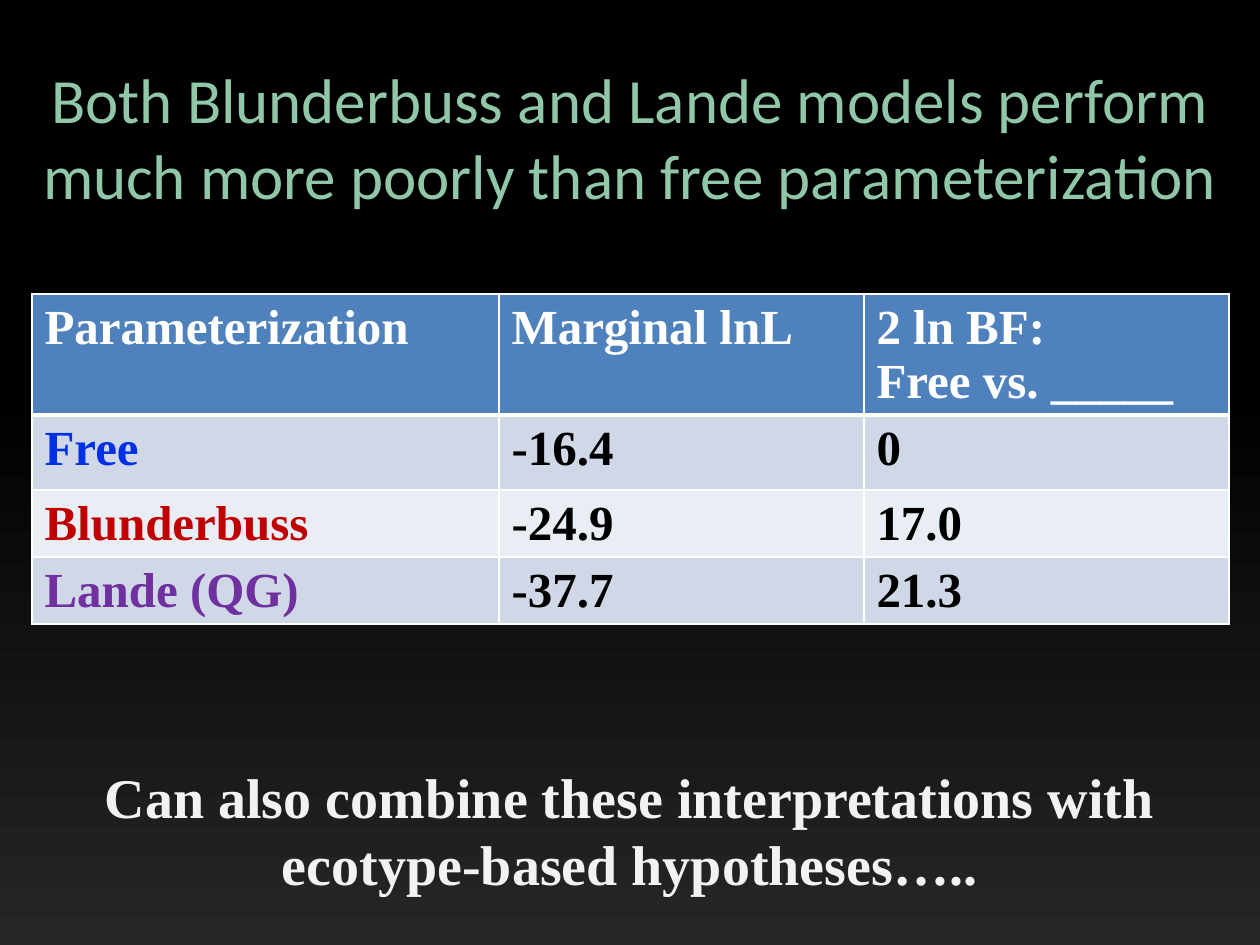
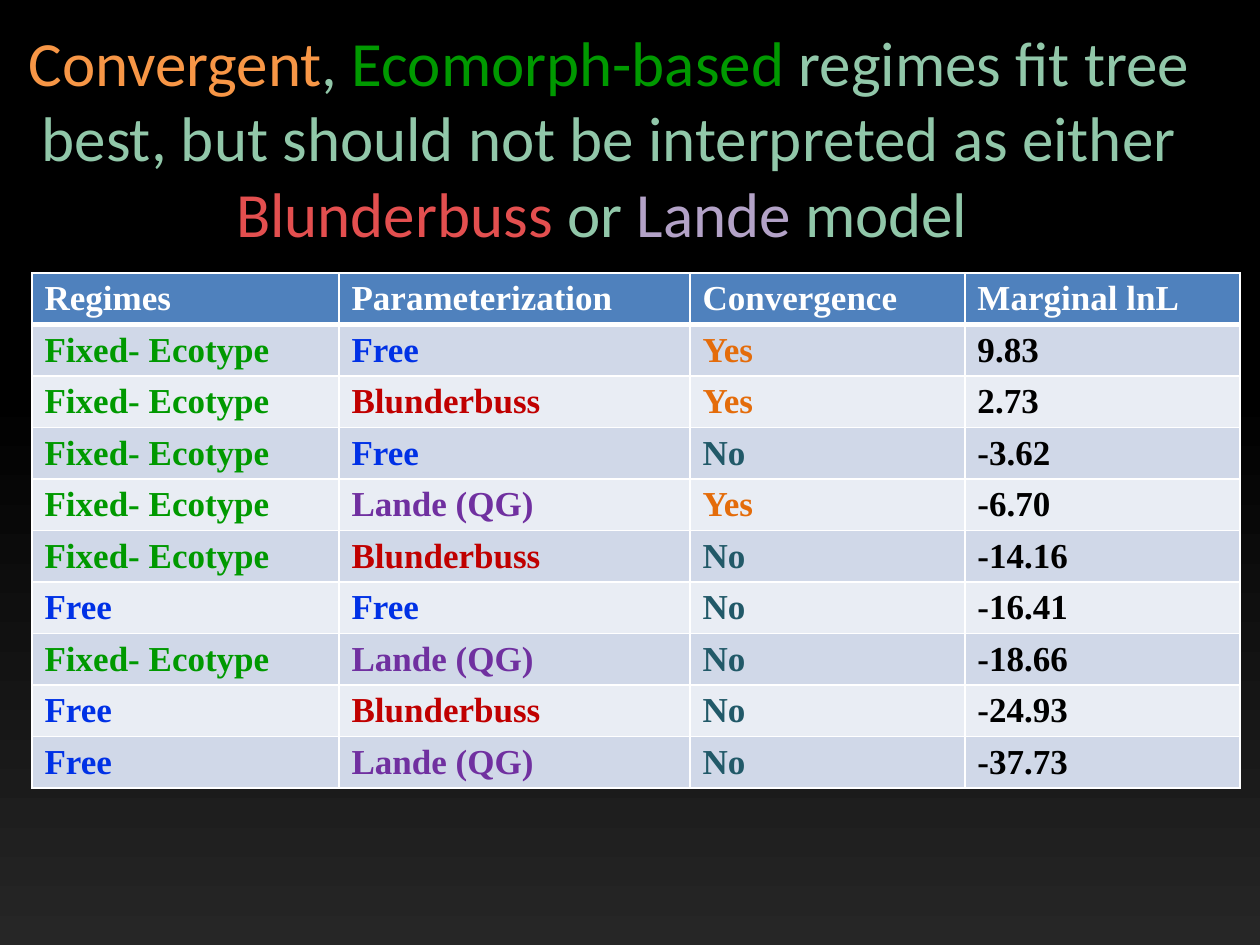
from dataclasses import dataclass

from lxml import etree
from pptx import Presentation
from pptx import util as u
from pptx.dml.color import RGBColor
from pptx.enum import text
from pptx.oxml import ns

EMU_PER_PX = 914400 / 126
TITLE_ONLY = 5


@dataclass(frozen=True)
class Theme:
    title_font: str = "Calibri"
    body_font: str = "Times New Roman"
    title_size: int = 36
    note_size: int = 32
    large_cell_size: int = 28
    small_cell_size: int = 20
    black: str = "000000"
    charcoal: str = "262626"
    white: str = "FFFFFF"
    off_white: str = "F2F2F2"
    mint: str = "91C7A9"
    green: str = "009900"
    blue: str = "0031E6"
    red: str = "C00000"
    light_red: str = "E34F4F"
    purple: str = "7030A0"
    lilac: str = "B3A2C7"
    orange: str = "E46C0A"
    light_orange: str = "F79646"
    teal: str = "215968"
    header_fill: str = "4F81BD"
    band_fills: tuple = ("D0D8E8", "E9EDF4")


THEME = Theme()
CATEGORY_COLOURS = {
    "Free": THEME.blue,
    "Blunderbuss": THEME.red,
    "Lande (QG)": THEME.purple,
    "Fixed- Ecotype": THEME.green,
    "Yes": THEME.orange,
    "No": THEME.teal,
}


def px(length):
    return u.Emu(round(length * EMU_PER_PX))


def colour(code):
    return RGBColor.from_string(code)


def format_font(font, name, size, code, bold=False):
    font.name, font.size, font.bold = name, u.Pt(size), bold
    font.color.rgb = colour(code)


def set_background(master):
    fill = master.background.fill
    fill.gradient()
    fill.gradient_angle = 270
    stops = zip(fill.gradient_stops, (0.41, 1), (THEME.black, THEME.charcoal))
    for stop, position, code in stops:
        stop.position = position
        stop.color.rgb = colour(code)


def centre_text(text_frame):
    text_frame.word_wrap = True
    text_frame.auto_size = text.MSO_AUTO_SIZE.NONE
    text_frame.vertical_anchor = text.MSO_ANCHOR.MIDDLE
    text_frame.paragraphs[0].alignment = text.PP_ALIGN.CENTER


def add_titled_slide(presentation, left, parts):
    """Add a slide whose title is made of (wording, colour) parts."""
    slide = presentation.slides.add_slide(presentation.slide_layouts[TITLE_ONLY])
    title = slide.shapes.title
    title.left, title.top, title.width, title.height = map(px, (left, 84, 1218, 105))
    centre_text(title.text_frame)
    for wording, code in parts:
        run = title.text_frame.paragraphs[0].add_run()
        run.text = wording
        format_font(run.font, THEME.title_font, THEME.title_size, code)
    return slide


def add_note(slide, wording):
    box = slide.shapes.add_textbox(*map(px, (21, 777, 1218, 105)))
    box.text_frame.text = wording
    centre_text(box.text_frame)
    run = box.text_frame.paragraphs[0].runs[0]
    format_font(run.font, THEME.body_font, THEME.note_size, THEME.off_white, True)


def set_borders(cell, bottom_width):
    properties = cell._tc.get_or_add_tcPr()
    for side, width in (("L", 1), ("R", 1), ("T", 1), ("B", bottom_width)):
        line = etree.SubElement(properties, ns.qn(f"a:ln{side}"), w=str(u.Pt(width)))
        fill = etree.SubElement(line, ns.qn("a:solidFill"))
        etree.SubElement(fill, ns.qn("a:srgbClr"), val=THEME.white)


def format_cell(cell, wording, row_index, size):
    is_header = row_index == 0
    set_borders(cell, 3 if is_header else 1)
    cell.fill.solid()
    band = THEME.band_fills[(row_index - 1) % 2]
    cell.fill.fore_color.rgb = colour(THEME.header_fill if is_header else band)
    code = THEME.white if is_header else CATEGORY_COLOURS.get(wording, THEME.black)
    cell.text_frame.text = wording
    for paragraph in cell.text_frame.paragraphs:
        for run in paragraph.runs:
            format_font(run.font, THEME.body_font, size, code, True)


def add_results_table(slide, top, height, column_widths, rows, size, row_heights=()):
    """Add a banded table; rows share the height equally unless heights are given."""
    frame = slide.shapes.add_table(
        len(rows), len(column_widths),
        px(32), px(top), px(sum(column_widths)), px(height))
    table = frame.table
    for column, width in zip(table.columns, column_widths):
        column.width = px(width)
    for row, row_height in zip(table.rows, row_heights):
        row.height = px(row_height)
    for row_index, values in enumerate(rows):
        for column_index, wording in enumerate(values):
            format_cell(table.cell(row_index, column_index), wording, row_index, size)


def add_model_slide(presentation):
    slide = add_titled_slide(presentation, 21, [
        ("Both Blunderbuss and Lande models perform much more poorly "
         "than free parameterization", THEME.mint)])
    rows = [
        ("Parameterization", "Marginal lnL", "2 ln BF:\nFree vs. _____"),
        ("Free", "-16.4", "0"),
        ("Blunderbuss", "-24.9", "17.0"),
        ("Lande (QG)", "-37.7", "21.3"),
    ]
    add_results_table(slide, 294, 330, (467, 365, 365), rows,
                      THEME.large_cell_size, (121, 75, 67, 67))
    add_note(slide, "Can also combine these interpretations with "
                    "ecotype-based hypotheses…..")


def add_regime_slide(presentation):
    slide = add_titled_slide(presentation, 0, [
        ("Convergent", THEME.light_orange),
        (", ", THEME.mint),
        ("Ecomorph-based ", THEME.green),
        ("regimes fit tree best, but should not be interpreted as either ", THEME.mint),
        ("Blunderbuss ", THEME.light_red),
        ("or ", THEME.mint),
        ("Lande ", THEME.lilac),
        ("model ", THEME.mint),
    ])
    rows = [
        ("Regimes", "Parameterization", "Convergence", "Marginal lnL"),
        ("Fixed- Ecotype", "Free", "Yes", "9.83"),
        ("Fixed- Ecotype", "Blunderbuss", "Yes", "2.73"),
        ("Fixed- Ecotype", "Free", "No", "-3.62"),
        ("Fixed- Ecotype", "Lande (QG)", "Yes", "-6.70"),
        ("Fixed- Ecotype", "Blunderbuss", "No", "-14.16"),
        ("Free", "Free", "No", "-16.41"),
        ("Fixed- Ecotype", "Lande (QG)", "No", "-18.66"),
        ("Free", "Blunderbuss", "No", "-24.93"),
        ("Free", "Lande (QG)", "No", "-37.73"),
    ]
    add_results_table(slide, 273, 515, (307, 351, 275, 275), rows,
                      THEME.small_cell_size)


def main():
    presentation = Presentation()
    presentation.slide_width, presentation.slide_height = px(1260), px(945)
    set_background(presentation.slide_master)
    add_model_slide(presentation)
    add_regime_slide(presentation)
    presentation.save("out.pptx")


if __name__ == "__main__":
    main()
